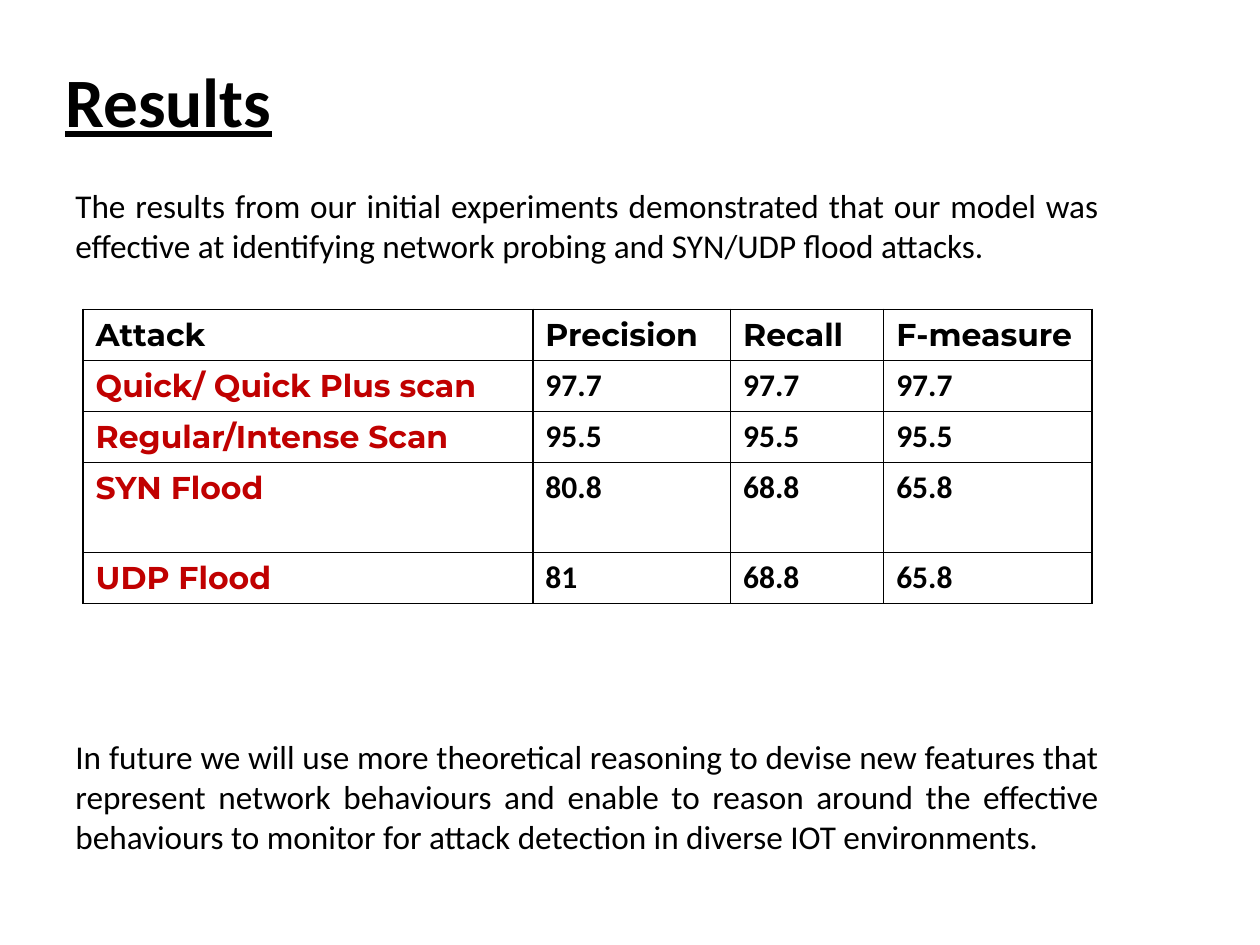
from lxml import etree
from pptx import Presentation
from pptx.dml.color import RGBColor
from pptx.enum.text import MSO_ANCHOR, PP_ALIGN
from pptx.oxml.ns import qn
from pptx.util import Pt

LEFT, JUSTIFY = PP_ALIGN.LEFT, PP_ALIGN.JUSTIFY
TOP, MIDDLE = MSO_ANCHOR.TOP, MSO_ANCHOR.MIDDLE
COLORS = {"text": "000000", "attack": "C00000", "border": "000000"}
BODY_FONT, TABLE_FONT = "Calibri", "Montserrat"


def write_text(paragraph, text, font=BODY_FONT, size=18, color="text",
               bold=False, underline=False, align=LEFT, space_before=0):
    paragraph.alignment = align
    paragraph.space_before = Pt(space_before)
    run = paragraph.add_run()
    run.text = text
    run.font.name = font
    run.font.size = Pt(size)
    run.font.bold = bold
    run.font.underline = underline
    run.font.color.rgb = RGBColor.from_string(COLORS[color])


class SlideBuilder:
    def __init__(self, presentation):
        self.slide = presentation.slides.add_slide(presentation.slide_layouts[6])
        self.border_width = Pt(1)

    def text_box(self, left, top, width, height, anchor=TOP):
        shape = self.slide.shapes.add_textbox(Pt(left), Pt(top), Pt(width), Pt(height))
        shape.text_frame.word_wrap = True
        shape.text_frame.vertical_anchor = anchor
        return shape.text_frame

    def table(self, left, top, column_widths, row_heights, rows):
        shape = self.slide.shapes.add_table(
            len(row_heights), len(column_widths), Pt(left), Pt(top),
            Pt(sum(column_widths)), Pt(sum(row_heights)))
        table = shape.table
        table.first_row = table.horz_banding = False
        for column, width in zip(table.columns, column_widths):
            column.width = Pt(width)
        for row, height in zip(table.rows, row_heights):
            row.height = Pt(height)
        for row_index, values in enumerate(rows):
            for column_index, value in enumerate(values):
                cell = table.cell(row_index, column_index)
                is_label = row_index == 0 or column_index == 0
                is_attack = row_index > 0 and column_index == 0
                write_text(cell.text_frame.paragraphs[0], value, bold=True,
                           font=TABLE_FONT if is_label else BODY_FONT,
                           color="attack" if is_attack else "text")
                self.cell_borders(cell)
                cell.fill.background()

    def cell_borders(self, cell):
        properties = cell._tc.get_or_add_tcPr()
        for side in ("a:lnL", "a:lnR", "a:lnT", "a:lnB"):
            line = etree.SubElement(properties, qn(side), w=str(self.border_width))
            fill = etree.SubElement(line, qn("a:solidFill"))
            etree.SubElement(fill, qn("a:srgbClr"), val=COLORS["border"])


def main():
    presentation = Presentation()
    presentation.slide_width, presentation.slide_height = Pt(720), Pt(540)
    builder = SlideBuilder(presentation)

    # Title
    title = builder.text_box(30.24, 36, 648, 41.76, anchor=MIDDLE)
    write_text(title.paragraphs[0], "Results", size=39.6, bold=True, underline=True)

    # Findings above the table, outlook below it
    body = builder.text_box(36, 102.24, 599.04, 378)
    write_text(body.paragraphs[0],
               "The results from our initial experiments demonstrated that our model "
               "was effective at identifying network probing and SYN/UDP ﬂood attacks.",
               size=19, align=JUSTIFY)
    write_text(body.add_paragraph(),
               "In future we will use more theoretical reasoning to devise new features "
               "that represent network behaviours and enable to reason around the "
               "effective behaviours to monitor for attack detection in diverse IOT "
               "environments.",
               size=19, align=JUSTIFY, space_before=269.5)

    # Scores per attack
    builder.table(
        47.5, 176.8, [257, 113, 87.5, 119], [29.2, 29.2, 29.2, 51.2, 29.2],
        [("Attack", "Precision", "Recall", "F-measure"),
         ("Quick/ Quick Plus scan", "97.7", "97.7", "97.7"),
         ("Regular/Intense Scan", "95.5", "95.5", "95.5"),
         ("SYN Flood", "80.8", "68.8", "65.8"),
         ("UDP Flood", "81", "68.8", "65.8")])

    presentation.save("out.pptx")


if __name__ == "__main__":
    main()
